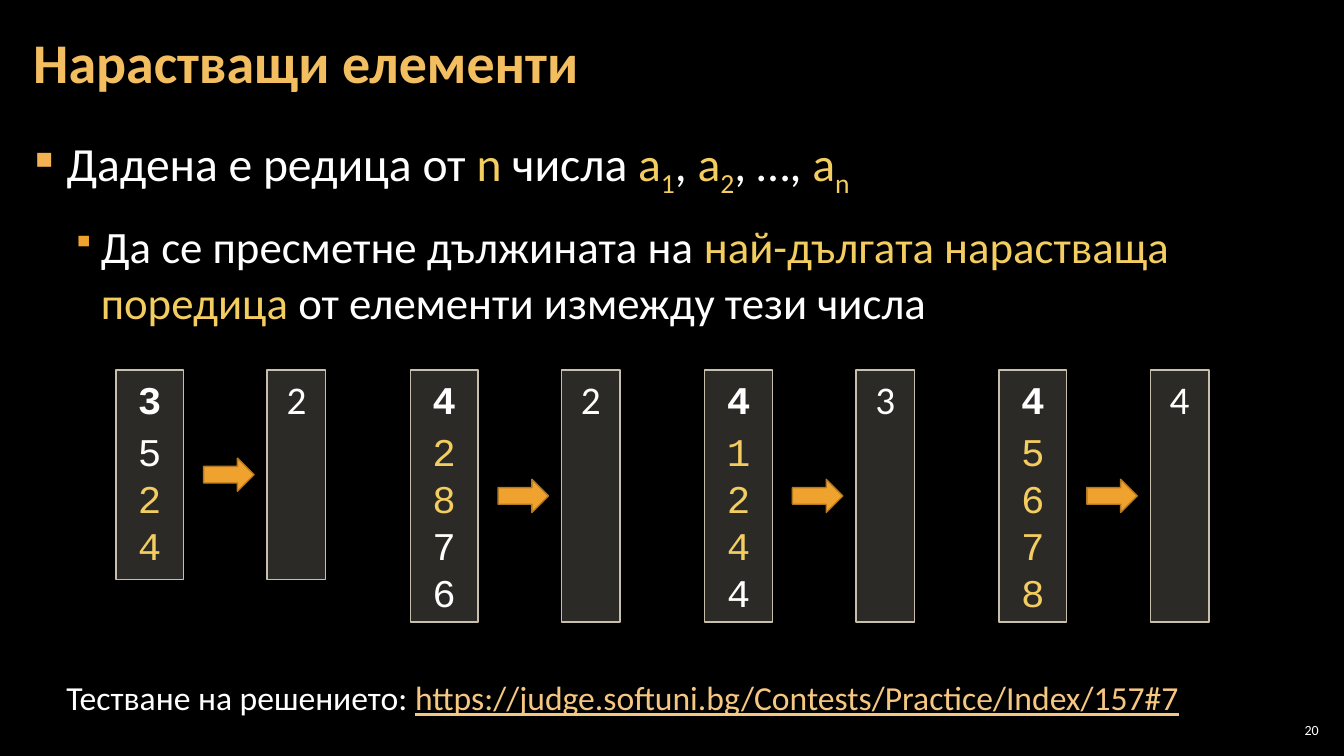
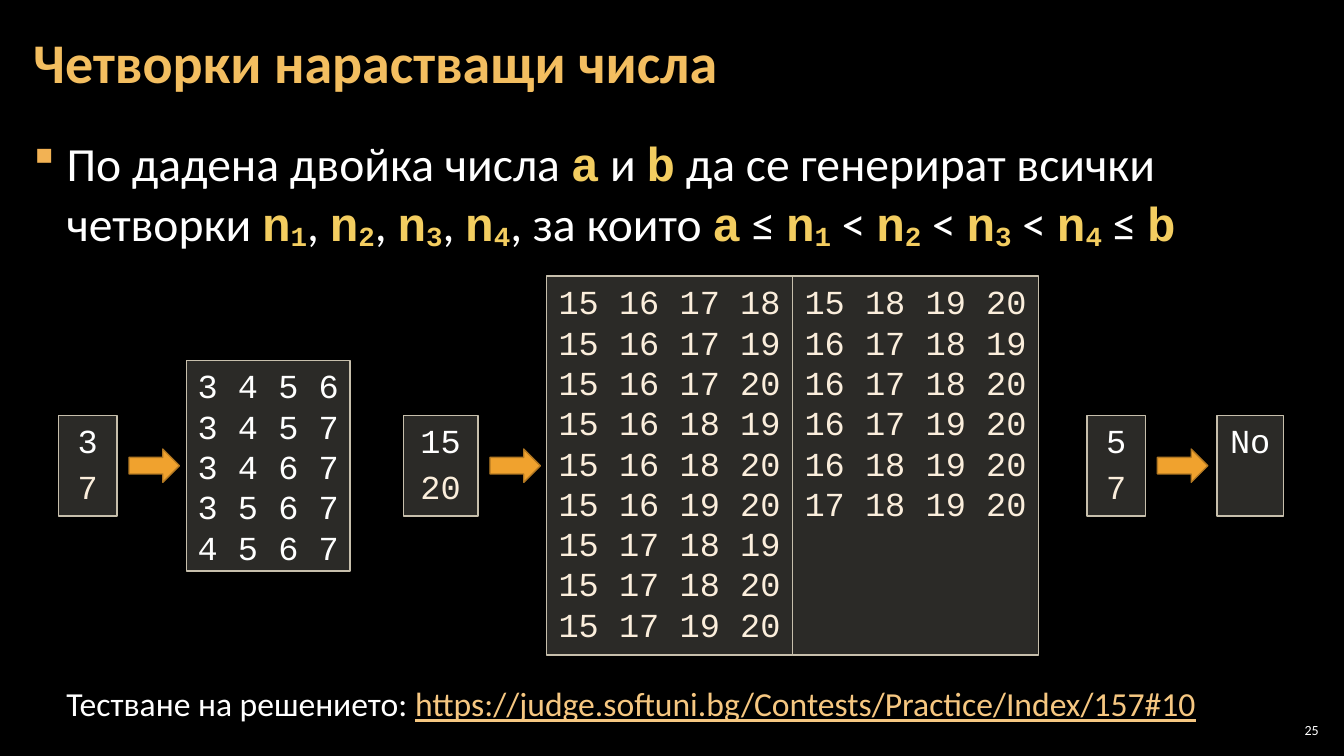
from itertools import combinations

from lxml.etree import SubElement
from pptx import Presentation
from pptx.dml.color import RGBColor
from pptx.enum.shapes import MSO_SHAPE as SHAPE
from pptx.enum.text import MSO_ANCHOR as ANCHOR, PP_ALIGN as ALIGN
from pptx.oxml.ns import qn
from pptx.util import Inches, Pt

SANS, MONO = "Calibri", "Courier New"
BLACK, WHITE, CREAM = "000000", "FFFFFF", "FBEEDC"
YELLOW, TITLE, LINK = "F3CD60", "F3BE60", "F6C781"
ORANGE, ORANGE_LINE = "F0A22E", "B27822"
PANEL, PANEL_LINE = "D9D5C7", "C7BFAC"

ARROW_W, ARROW_H = 0.5, 0.33
COLUMN_LEFT, COLUMN_TOP, COLUMN_STEP = 1.15, 3.67, 2.92
ROW_MIDDLE = 4.62
JUDGE = "https://judge.softuni.bg/Contests/Practice/Index/157#"
BULLETS = [
    {"indent": 0.33, "hang": 0.33, "color": "F2B254", "size": 100},
    {"indent": 0.67, "hang": 0.25, "color": ORANGE, "size": 80},
]
BODY_SIZES = [34, 32]


def rgb(color):
    """Turn a hex string into a colour."""
    return RGBColor.from_string(color)


def set_attrs(obj, values):
    """Set every attribute named in a dict of format values."""
    for name, value in values.items():
        setattr(obj, name, value)


def add_run(p, text, size, color=WHITE, font=SANS, sub=0, **fmt):
    """Add a run, lowered by sub percent if given."""
    r = p.add_run()
    r.text = text
    set_attrs(r.font, {"name": font, "size": Pt(size), **fmt})
    r.font.color.rgb = rgb(color)
    if sub:
        r._r.get_or_add_rPr().set("baseline", str(-1000 * sub))


def next_paragraph(tf, first, **fmt):
    """Return the first or a new paragraph with its format set."""
    p = tf.paragraphs[0] if first else tf.add_paragraph()
    set_attrs(p, fmt)
    return p


def add_text_box(s, x, y, w, h, side=0.1, top=0.05, anchor=ANCHOR.TOP):
    """Add a wrapping text box and return its text frame."""
    tf = s.shapes.add_textbox(*map(Inches, (x, y, w, h))).text_frame
    set_attrs(tf, {
        "word_wrap": True, "vertical_anchor": anchor,
        "margin_left": Inches(side), "margin_right": Inches(side),
        "margin_top": Inches(top), "margin_bottom": Inches(top),
    })
    return tf


def add_shape(s, kind, x, y, w, h, fill, line):
    """Add a flat preset shape with a thin outline."""
    sp = s.shapes.add_shape(kind, *map(Inches, (x, y, w, h)))
    sp.shadow.inherit = False
    sp.fill.solid()
    sp.fill.fore_color.rgb = rgb(fill)
    sp.line.color.rgb = rgb(line)
    sp.line.width = Pt(1)
    return sp


def add_arrow(s, x, middle):
    """Add an arrow from input to output, centred on a height."""
    add_shape(s, SHAPE.RIGHT_ARROW, x, middle - ARROW_H / 2, ARROW_W, ARROW_H,
              ORANGE, ORANGE_LINE)


def add_panel(s, x, y, w, h, lines, size, font=MONO, gaps=0):
    """Add a translucent panel of (text, format) lines, the first gaps spaced."""
    sp = add_shape(s, SHAPE.RECTANGLE, x, y, w, h, PANEL, PANEL_LINE)
    solid = sp._element.spPr.find(qn("a:solidFill"))
    SubElement(solid[0], qn("a:alpha"), val="20000")
    tf = sp.text_frame
    set_attrs(tf, {"word_wrap": True, "vertical_anchor": ANCHOR.TOP})
    for i, (text, fmt) in enumerate(lines):
        p = next_paragraph(tf, i == 0, alignment=ALIGN.CENTER,
                           space_after=Pt(4 if i < gaps else 0))
        add_run(p, text, size, font=font, **fmt)


def add_bullet(p, indent, hang, color, size):
    """Give a paragraph a coloured square bullet and a hanging indent."""
    pPr = p._p.get_or_add_pPr()
    pPr.set("marL", str(Inches(indent)))
    pPr.set("indent", str(-Inches(hang)))
    SubElement(SubElement(pPr, qn("a:buClr")), qn("a:srgbClr"), val=color)
    SubElement(pPr, qn("a:buSzPct"), val=str(size * 1000))
    SubElement(pPr, qn("a:buFont"), typeface="Wingdings", charset="2")
    SubElement(pPr, qn("a:buChar"), char="§")


def add_body(s, items, sub, **mark):
    """Add bullets, one per level, with |marked| parts and _ before a subscript."""
    tf = add_text_box(s, 0.21, 1.26, 12.91, 6.09, side=0.12, top=0.04)
    for level, text in enumerate(items):
        p = next_paragraph(tf, level == 0, level=level, line_spacing=1.05,
                           space_before=Pt(6 if level else 0),
                           space_after=Pt(6))
        add_bullet(p, **BULLETS[level])
        size = BODY_SIZES[level]
        for i, part in enumerate(text.split("|")):
            if i % 2 == 0:
                if part:
                    add_run(p, part, size)
                continue
            base, _, index = part.partition("_")
            add_run(p, base, size, YELLOW, **mark)
            if index:
                add_run(p, index, size, YELLOW, sub=sub, **mark)


def add_frame(prs, title, number, task, link_top):
    """Add a slide with its title, judge link and number."""
    s = prs.slides.add_slide(prs.slide_layouts[6])
    tf = add_text_box(s, 0.21, 0.04, 10.47, 1.21, 0.12, 0.04, ANCHOR.MIDDLE)
    p = next_paragraph(tf, True, line_spacing=0.9)
    add_run(p, title, 40, TITLE, bold=True)
    tf = add_text_box(s, 0.56, link_top, 12.11, 0.5)
    p = tf.paragraphs[0]
    add_run(p, "Тестване на решението: ", 24)
    add_run(p, f"{JUDGE}{task}", 24, LINK, underline=True)
    tf = add_text_box(s, 12.65, 7.14, 0.47, 0.21, 0.04, 0.04, ANCHOR.MIDDLE)
    p = next_paragraph(tf, True, alignment=ALIGN.RIGHT)
    add_run(p, str(number), 10)
    return s


def add_sequence(s, x, numbers, run, answer):
    """Add a sequence with its longest increasing run marked, and the answer."""
    h = 0.4 + 0.42 * (len(numbers) + 1)
    lines = [(str(len(numbers)), {"bold": True})]
    lines += [(n, {"color": YELLOW if i in run else WHITE})
              for i, n in enumerate(numbers)]
    add_panel(s, x, COLUMN_TOP, 0.67, h, lines, 28, gaps=1)
    add_panel(s, x + 1.5, COLUMN_TOP, 0.58, h, [(answer, {})], 28, SANS)
    add_arrow(s, x + 0.87, COLUMN_TOP + h / 2)


def add_row_panel(s, x, w, h, lines, colors, gaps=0):
    """Add a panel centred on the row, the last colour serving all later lines."""
    styled = [(text, {"color": colors[min(i, len(colors) - 1)]})
              for i, text in enumerate(lines)]
    add_panel(s, x, ROW_MIDDLE - h / 2, w, h, styled, 24, gaps=gaps)


def quadruples(a, b):
    """List all increasing quadruples from a to b as text."""
    return [" ".join(map(str, q)) for q in combinations(range(a, b + 1), 4)]


def increasing_elements(prs):
    """Build the slide on the longest increasing run."""
    s = add_frame(prs, "Нарастващи елементи", 20, 7, 6.67)
    add_body(s, [
        "Дадена е редица от |n |числа |a_1|, |a_2|, …, |a_n",
        "Да се пресметне дължината на |най-дългата нарастваща поредица |"
        "от елементи измежду тези числа",
    ], sub=25)
    examples = [("524", range(1, 3), "2"), ("2876", range(2), "2"),
                ("1244", range(3), "3"), ("5678", range(4), "4")]
    for i, example in enumerate(examples):
        add_sequence(s, COLUMN_LEFT + i * COLUMN_STEP, *example)


def increasing_quadruples(prs):
    """Build the slide on increasing quadruples."""
    s = add_frame(prs, "Четворки нарастващи числа", 25, 10, 6.73)
    add_body(s, [
        "По дадена двойка числа |a| и |b| да се генерират всички четворки "
        "|n_1|, |n_2|, |n_3|, |n_4|, за които "
        "|a| ≤ |n_1| < |n_2| < |n_3| < |n_4| ≤ |b",
    ], sub=10, font=MONO, bold=True)
    for x, w, pair in [(0.58, 0.58, "37"), (4, 0.74, ("15", "20")),
                       (10.78, 0.58, "57")]:
        add_row_panel(s, x, w, 1, pair, [WHITE, CREAM], gaps=2)
        add_arrow(s, x + w + 0.12, ROW_MIDDLE)
    add_row_panel(s, 1.85, 1.62, 2.09, quadruples(3, 7), [WHITE])
    large = quadruples(15, 20)
    for i, part in enumerate((large[:9], large[9:])):
        add_row_panel(s, 5.42 + i * 2.44, 2.44, 3.76, part, [CREAM])
    add_row_panel(s, 12.07, 0.66, 1, ["No"], [WHITE])


def main():
    """Build and save the presentation."""
    prs = Presentation()
    set_attrs(prs, {"slide_width": Inches(13.33), "slide_height": Inches(7.5)})
    fill = prs.slide_master.background.fill
    fill.solid()
    fill.fore_color.rgb = rgb(BLACK)
    increasing_elements(prs)
    increasing_quadruples(prs)
    prs.save("out.pptx")


if __name__ == "__main__":
    main()
